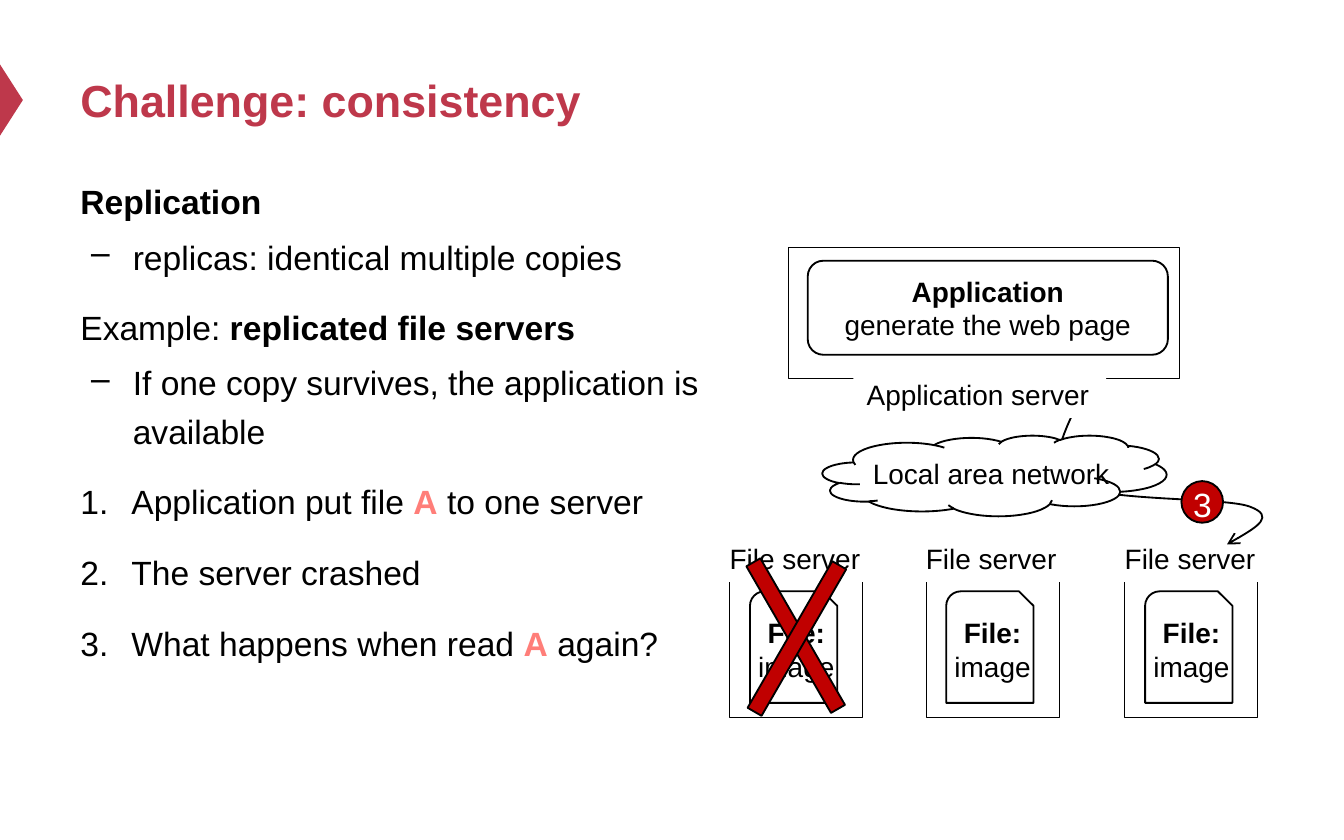
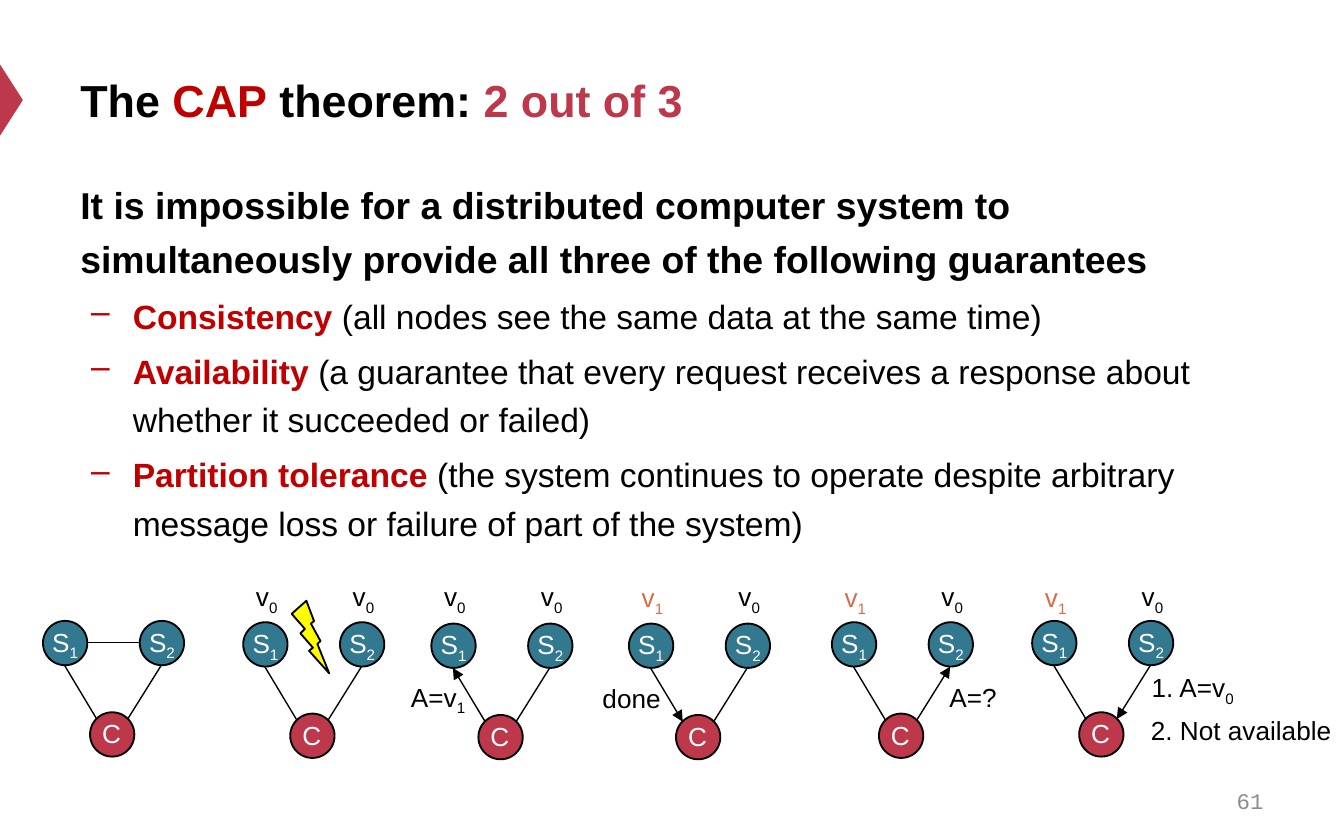
from lxml.etree import SubElement
from pptx import Presentation
from pptx.dml.color import RGBColor
from pptx.enum.shapes import MSO_CONNECTOR, MSO_SHAPE as SHAPE
from pptx.enum.text import MSO_ANCHOR as ANCHOR, MSO_AUTO_SIZE as AUTO, PP_ALIGN as ALIGN
from pptx.oxml.ns import qn
from pptx.util import Pt

PX = 9144  # 100 px to the inch
BLACK = RGBColor(0x00, 0x00, 0x00)
WHITE = RGBColor(0xFF, 0xFF, 0xFF)
GRAY = RGBColor(0x8C, 0x8C, 0x8C)
CRIMSON = RGBColor(0xBE, 0x38, 0x4B)
RED = RGBColor(0xC0, 0x00, 0x00)
PINK = RGBColor(0xFF, 0x7E, 0x79)
TEAL = RGBColor(0x32, 0x78, 0x8E)
ORANGE = RGBColor(0xD6, 0x6E, 0x49)
YELLOW = RGBColor(0xFF, 0xFC, 0x00)


def place(slide, kind, box, fill=WHITE, line=1):
    """Add a preset shape, filled and outlined in black unless line is 0."""
    shape = slide.shapes.add_shape(kind, *[value * PX for value in box])
    shape.shadow.inherit = False
    shape.fill.solid()
    shape.fill.fore_color.rgb = fill
    if line:
        shape.line.color.rgb = BLACK
        shape.line.width = Pt(line)
    else:
        shape.line.fill.background()
    return shape


def write(slide, target, paragraphs, size, align=ALIGN.LEFT, anchor=ANCHOR.TOP,
          color=BLACK, wrap=False, font="Arial"):
    """Write into a shape, or into a new text box when target is a box.

    A paragraph is a list of runs: text, then optional color, bold, subscript.
    """
    if isinstance(target, tuple):
        target = slide.shapes.add_textbox(*[value * PX for value in target])
    frame = target.text_frame
    frame.word_wrap = wrap
    frame.auto_size = AUTO.NONE if wrap else AUTO.SHAPE_TO_FIT_TEXT
    frame.vertical_anchor = anchor
    for index, runs in enumerate(paragraphs):
        paragraph = frame.add_paragraph() if index else frame.paragraphs[0]
        paragraph.alignment = align
        for text, *style in runs:
            run_color, bold, subscript = style + [None, False, False][len(style):]
            run = paragraph.add_run()
            run.text = text
            run.font.name = font
            run.font.size = Pt(size)
            run.font.bold = bold
            run.font.color.rgb = run_color or color
            if subscript:
                run._r.get_or_add_rPr().set("baseline", "-25000")
    return frame


presentation = Presentation()
presentation.slide_width = 1000 * PX
presentation.slide_height = 625 * PX

# Title, marker and body of both slides
pages = [
    {
        "title": [("Challenge: consistency", CRIMSON, True)],
        "body_box": (50, 124, 483, 458),
        "lead_size": 18,
        "body": [
            ("lead", [("Replication", BLACK, True)]),
            ("dash", [("replicas: identical multiple copies",)]),
            ("lead", [("Example: ",), ("replicated file servers", BLACK, True)]),
            ("dash", [("If one copy survives, the application is available",)]),
            ("number", [("Application put file ",), ("A", PINK, True), (" to one server",)]),
            ("number", [("The server crashed",)]),
            ("number", [("What happens when read ",), ("A", PINK, True), (" again?",)]),
        ],
    },
    {
        "title": [("The ", BLACK, True), ("CAP", RED, True), (" theorem: ", BLACK, True),
                  ("2 out of 3", CRIMSON, True)],
        "body_box": (50, 124, 900, 412),
        "lead_size": 20,
        "body": [
            ("lead", [("It is impossible for a distributed computer system to simultaneously "
                       "provide all three of the following guarantees", BLACK, True)]),
            ("dash", [("Consistency", RED, True),
                      (" (all nodes see the same data at the same time)",)]),
            ("dash", [("Availability", RED, True),
                      (" (a guarantee that every request receives a response about "
                       "whether it succeeded or failed)",)]),
            ("dash", [("Partition tolerance ", RED, True),
                      ("(the system continues to operate despite arbitrary "
                       "message loss or failure of part of the system)",)]),
        ],
    },
]
for page in pages:
    slide = presentation.slides.add_slide(presentation.slide_layouts[6])
    marker = place(slide, SHAPE.ISOSCELES_TRIANGLE, (-18, 66, 53, 17), CRIMSON, 0)
    marker.rotation = 90
    write(slide, (50, 25, 900, 98), [page["title"]], 24, anchor=ANCHOR.MIDDLE, wrap=True)
    frame = write(slide, page["body_box"], [runs for kind, runs in page["body"]], 18, wrap=True)
    for run in frame.paragraphs[0].runs:
        run.font.size = Pt(page["lead_size"])
    for index, (kind, runs) in enumerate(page["body"]):
        paragraph = frame.paragraphs[index]
        properties = paragraph._p.get_or_add_pPr()
        if kind == "dash":
            paragraph.level = 1
            properties.set("marL", str(39 * PX))
            properties.set("indent", str(-31 * PX))
            SubElement(properties, qn("a:buChar")).set("char", "–")
        elif kind == "number":
            properties.set("marL", str(38 * PX))
            properties.set("indent", str(-38 * PX))
            SubElement(properties, qn("a:buAutoNum")).set("type", "arabicPeriod")
        paragraph.line_spacing = 1.2
        if index:
            paragraph.space_before = Pt(3.6 if kind == "dash" else 12)

consistency, cap = presentation.slides

# File servers
for left in (543, 689, 837):
    place(consistency, SHAPE.RECTANGLE, (left, 426, 99, 108), line=0.5)
    place(consistency, SHAPE.SNIP_ROUND_RECTANGLE, (left + 15, 440, 65, 83))
    write(consistency, (left, 453, 99, 61), [[("File:", BLACK, True)], [("image",)]], 15,
          ALIGN.CENTER, wrap=True)
    label = place(consistency, SHAPE.RECTANGLE, (left - 10, 398, 119, 35), line=0)
    write(consistency, label, [[("File server",)]], 15)

# Curved arrow from the application server to the last file server
curve_points = [(789, 328), (779, 349), (801, 361),
                (823, 373), (912, 370), (930, 377),
                (949, 384), (931, 395), (913, 405)]
builder = consistency.shapes.build_freeform(799, 306, scale=PX)
builder.add_line_segments(curve_points, close=False)
request = builder.convert_to_shape()
request.shadow.inherit = False
request.fill.background()
request.line.color.rgb = BLACK
request.line.width = Pt(1)
SubElement(request.line._get_or_add_ln(), qn("a:tailEnd")).set("type", "arrow")
# Merge each three line segments into one Bezier segment
segments = list(request._element.iter(qn("a:lnTo")))
for first, second, third in zip(segments[::3], segments[1::3], segments[2::3]):
    bezier = SubElement(first.getparent(), qn("a:cubicBezTo"))
    for segment in (first, second, third):
        bezier.append(segment[0])
        segment.getparent().remove(segment)

# Application server
place(consistency, SHAPE.RECTANGLE, (587, 184, 291, 98), line=0.5)
application = place(consistency, SHAPE.ROUNDED_RECTANGLE, (601, 194, 268, 70))
write(consistency, application, [[("Application", BLACK, True)], [("generate the web page",)]],
      15, ALIGN.CENTER, ANCHOR.MIDDLE, wrap=True)
label = place(consistency, SHAPE.RECTANGLE, (635, 276, 188, 35), line=0)
write(consistency, label, [[("Application server",)]], 15)

# Step number and network
place(consistency, SHAPE.OVAL, (879, 358, 31, 31), RED)
write(consistency, (878, 355, 34, 40), [[("3",)]], 18, color=WHITE)
place(consistency, SHAPE.CLOUD, (612, 324, 256, 60))
write(consistency, (616, 335, 243, 35), [[("Local area network",)]], 15, ALIGN.CENTER, wrap=True)

# Cross over the crashed server
for left, top, angle in ((529, 467, 60), (530, 469, 300)):
    bar = place(consistency, SHAPE.RECTANGLE, (left, top, 126, 12), RED)
    bar.rotation = angle

# Slide number
write(cap, (717, 579, 233, 33), [[("61",)]], 12, ALIGN.RIGHT, ANCHOR.MIDDLE, GRAY,
      wrap=True, font="Courier New")

# Two servers and a client: left, top, values of S1 and S2, arrowheads of the two client links
clusters = [
    (32, 462, None, None, None, None),
    (181, 463, "0", "0", None, None),
    (321, 464, "0", "0", "headEnd", None),
    (468, 464, "1", "0", "tailEnd", None),
    (619, 463, "1", "0", None, "headEnd"),
    (768, 462, "1", "0", None, "tailEnd"),
]
for left, top, left_value, right_value, left_arrow, right_arrow in clusters:
    for index, server_left, value in (("1", left, left_value), ("2", left + 72, right_value)):
        place(cap, SHAPE.OVAL, (server_left, top, 33, 33), TEAL)
        write(cap, (server_left - 4, top - 1, 41, 34), [[("S",), (index, WHITE, False, True)]],
              14, ALIGN.CENTER, color=WHITE)
        if value:
            color = ORANGE if value == "1" else BLACK
            write(cap, (server_left - 1, 428 if value == "1" else 427, 37, 34),
                  [[("v", color), (value, color, False, True)]], 14, ALIGN.CENTER)
    place(cap, SHAPE.OVAL, (left + 35, top + 68, 33, 33), CRIMSON)
    write(cap, (left + 34, top + 67, 34, 34), [[("C",)]], 14, ALIGN.CENTER, color=WHITE)

    links = [((16, 33, 40, 73), left_arrow), ((88, 33, 63, 73), right_arrow)]
    if left_value is None:
        links.append(((33, 16, 72, 16), None))
    for (x1, y1, x2, y2), arrow in links:
        link = cap.shapes.add_connector(
            MSO_CONNECTOR.STRAIGHT, (left + x1) * PX, (top + y1) * PX,
            (left + x2) * PX, (top + y2) * PX)
        link.line.color.rgb = BLACK
        link.line.width = Pt(0.75)
        SubElement(link._element.spPr, qn("a:effectLst"))
        if arrow:
            SubElement(link.line._get_or_add_ln(), qn("a:" + arrow)).set("type", "triangle")

# Messages beside the links
messages = [
    ((295, 502, 62, 34), [("A=v",), ("1", BLACK, False, True)]),
    ((438, 503, 64, 34), [("done",)]),
    ((696, 502, 56, 34), [("A=?",)]),
    ((846, 495, 83, 34), [("1. A=v",), ("0", BLACK, False, True)]),
    ((846, 527, 155, 34), [("2. Not available",)]),
]
for box, runs in messages:
    write(cap, box, [runs], 14, ALIGN.CENTER)

# Broken link between the servers
place(cap, SHAPE.LIGHTNING_BOLT, (217, 447, 28, 54), YELLOW)

presentation.save("out.pptx")
